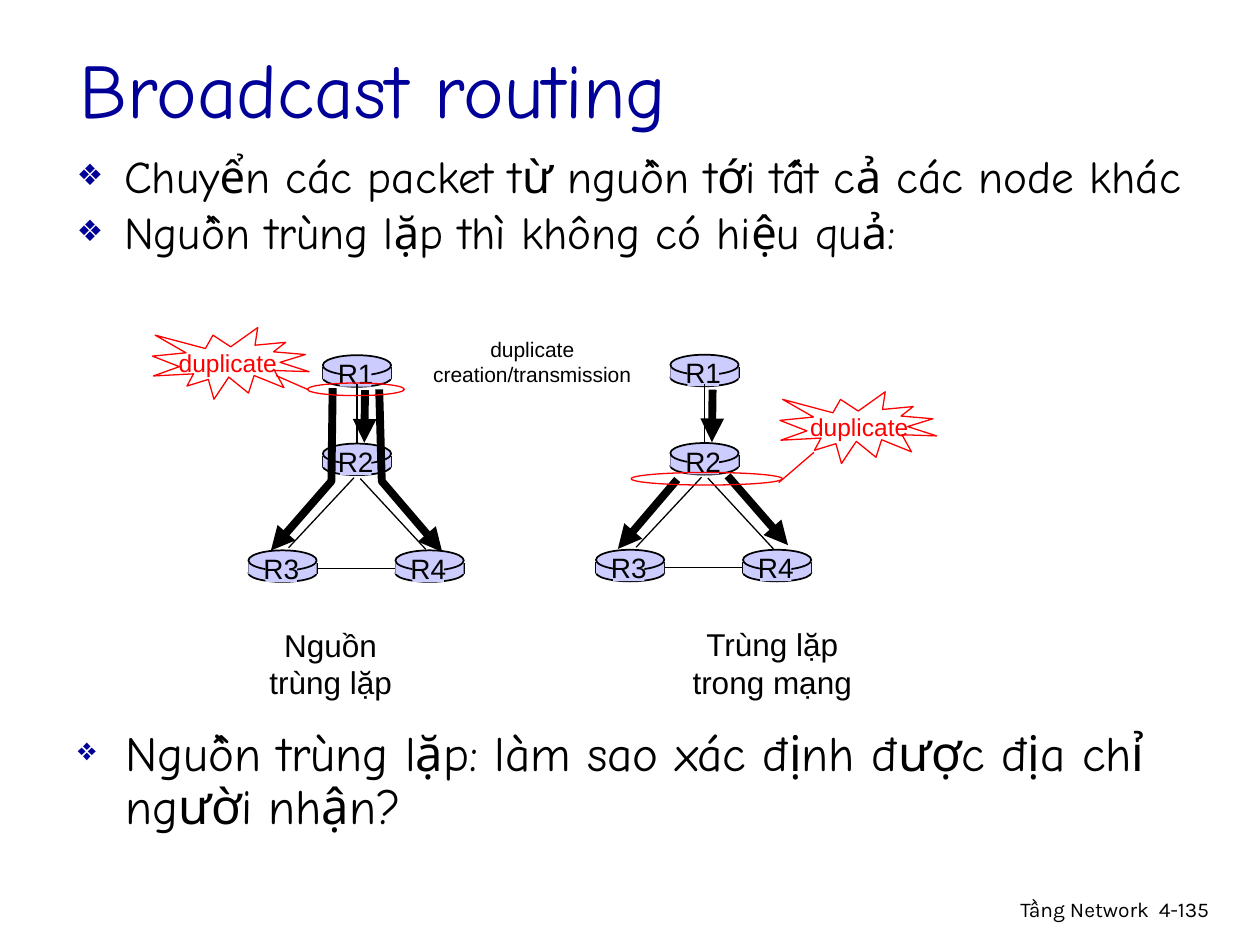
from lxml import etree
from pptx import Presentation
from pptx.dml.color import RGBColor
from pptx.enum import shapes, text
from pptx.oxml import ns
from pptx.util import Pt

NAVY = RGBColor(0, 0, 0x99)
BLACK = RGBColor(0, 0, 0)
RED = RGBColor(0xFF, 0, 0)
LILAC = RGBColor(0xCC, 0xCC, 0xFF)
SHAPE = shapes.MSO_SHAPE
ALIGN = text.PP_ALIGN

ROUTERS = [("R1", 42.5, 0), ("R2", 42.5, 50.5), ("R3", 0, 111.5), ("R4", 84, 111.5)]
LINKS = [
    [(62, 16.5), (62, 50.5)],
    [(60.3, 70), (22.9, 110)],
    [(63.9, 70.5), (101.4, 111)],
    [(39.5, 121.7), (84, 121.7)],
]
FIRST_HOP = [(66.6, 20), (66.2, 50)]
SOURCE_FLOWS = [
    FIRST_HOP,
    [(74.7, 19.5), (76.2, 72), (110.7, 112.4)],
    [(48.1, 18.8), (47.4, 72), (12.8, 111.6)],
]
NETWORK_FLOWS = [
    FIRST_HOP,
    [(75.2, 69.2), (109.7, 108.8)],
    [(46.4, 71.3), (12.5, 111)],
]


def place(item, left, top, width, height):
    item.left, item.top, item.width, item.height = map(Pt, (left, top, width, height))


def add_xml(parent, tag, **attributes):
    return etree.SubElement(parent, ns.qn(tag), attributes)


def write(frame, lines, font="Arial", size=12, color=BLACK, align=ALIGN.LEFT,
          wrap=True, bullet=False, spacing=None, anchor=text.MSO_ANCHOR.TOP):
    frame.word_wrap = wrap
    frame.auto_size = text.MSO_AUTO_SIZE.NONE
    frame.vertical_anchor = anchor
    for index, line in enumerate(lines):
        para = frame.paragraphs[0] if index == 0 else frame.add_paragraph()
        if bullet:
            add_bullet(para)
            para.space_before = Pt(7 if index else 0)
        para.alignment = align
        if spacing:
            para.line_spacing = spacing
        span = para.add_run()
        span.text = line
        span.font.name = font
        span.font.size = Pt(size)
        span.font.color.rgb = color


def add_bullet(para):
    properties = para._p.get_or_add_pPr()
    properties.set("marL", str(Pt(27)))
    properties.set("indent", str(Pt(-27)))
    add_xml(add_xml(properties, "a:buClr"), "a:srgbClr", val=str(NAVY))
    add_xml(properties, "a:buSzPct", val="65000")
    add_xml(properties, "a:buChar", char="❖")


def add_text(page, lines, left, top, width, height, **style):
    box = page.shapes.add_textbox(Pt(left), Pt(top), Pt(width), Pt(height))
    write(box.text_frame, lines, **style)


def add_shape(page, kind, left, top, width, height, fill=None, line=None, weight=1):
    shape = page.shapes.add_shape(kind, Pt(left), Pt(top), Pt(width), Pt(height))
    shape.shadow.inherit = False
    if fill is None:
        shape.fill.background()
    else:
        shape.fill.solid()
        shape.fill.fore_color.rgb = fill
    if line is None:
        shape.line.fill.background()
    else:
        shape.line.color.rgb = line
        shape.line.width = Pt(weight)


def add_route(page, points, left=0, top=0, color=BLACK, weight=0.75, arrow=False):
    points = [(Pt(left + x), Pt(top + y)) for x, y in points]
    if len(points) == 2:
        route = page.shapes.add_connector(shapes.MSO_CONNECTOR.STRAIGHT, *points[0], *points[1])
        add_xml(route._element.spPr, "a:effectLst")
    else:
        builder = page.shapes.build_freeform(*points[0])
        builder.add_line_segments(points[1:], close=False)
        route = builder.convert_to_shape()
        route.shadow.inherit = False
        route.fill.background()
    route.line.color.rgb = color
    route.line.width = Pt(weight)
    if arrow:
        add_xml(route.line._get_or_add_ln(), "a:tailEnd", type="triangle")


def add_router(page, name, left, top):
    add_shape(page, SHAPE.OVAL, left, top + 8, 39, 10, LILAC, BLACK)
    for side in (0, 39):
        add_route(page, [(side, 7), (side, 13.5)], left, top, weight=1)
    add_shape(page, SHAPE.RECTANGLE, left, top + 7, 39, 6.5, LILAC)
    add_shape(page, SHAPE.OVAL, left, top, 39, 11.5, LILAC, BLACK)
    add_shape(page, SHAPE.RECTANGLE, left + 9.7, top + 1.5, 18, 16.5, LILAC)
    add_text(page, [name], left + 1.4, top - 2.9, 34.6, 26.6,
             size=16, align=ALIGN.CENTER, wrap=False)


def add_network(page, left, top, flows, caption, caption_left, caption_width):
    for name, x, y in ROUTERS:
        add_router(page, name, left + x, top + y)
    for link in LINKS:
        add_route(page, link, left, top)
    for flow in flows:
        add_route(page, flow, left, top, weight=4.5, arrow=True)
    add_text(page, caption, left + caption_left, top + 151, caption_width, 50,
             size=18, align=ALIGN.CENTER, wrap=False)


def add_duplicate(page, left, top, label_left, ring, pointer):
    add_shape(page, SHAPE.EXPLOSION1, left, top, 89.5, 41, line=RED, weight=0.75)
    add_text(page, ["duplicate"], left + label_left, top + 8, 70.5, 24.5,
             size=14, color=RED, wrap=False)
    add_shape(page, SHAPE.OVAL, *ring, line=RED, weight=0.75)
    add_route(page, pointer, color=RED)


def add_heading(page):
    title, body = page.shapes.title, page.placeholders[1]
    place(title, 38.2, 13.7, 612, 72.7)
    write(title.text_frame, ["Broadcast routing"], font="Comic Neue", size=44,
          color=NAVY, anchor=text.MSO_ANCHOR.MIDDLE)
    place(body, 36.7, 87.1, 675.4, 76.3)
    write(body.text_frame, [
        "Chuyển các packet từ nguồn tới tất cả các node khác",
        "Nguồn trùng lặp thì không có hiệu quả:",
    ], font="Comic Neue", size=25.9, bullet=True, spacing=0.8)


def add_footer(page, top):
    add_text(page, ["Tầng Network"], 435.6, top, 228.2, 22, font="Karla", align=ALIGN.RIGHT)
    add_text(page, ["4-135"], 655.2, top, 53.3, 22, font="Karla")


def main():
    deck = Presentation()
    deck.slide_width, deck.slide_height = Pt(720), Pt(540)
    page = deck.slides.add_slide(deck.slide_layouts[1])
    add_heading(page)
    add_network(page, 142, 203, SOURCE_FLOWS, ["Nguồn", "trùng lặp"], 4.9, 84.2)
    add_network(page, 340.6, 202.7, NETWORK_FLOWS, ["Trùng lặp", "trong mạng"], 48.2, 105)
    add_text(page, ["duplicate", "creation/transmission"], 240.5, 188.6, 127.4, 36,
             align=ALIGN.CENTER, wrap=False)
    add_duplicate(page, 87.1, 187.2, 7.9, (175.7, 218.9, 55.4, 7.2),
                  [(175.7, 222.5), (157.7, 214.6)])
    add_duplicate(page, 445.7, 223.9, 10.1, (360.7, 270, 86.4, 7.2),
                  [(465.1, 258.5), (445, 275.8)])
    add_text(page, ["Nguồn trùng lặp: làm sao xác định được địa chỉ người nhận?"],
             37.4, 413.3, 639.4, 76.3, font="Comic Neue", size=28, bullet=True, spacing=0.9)
    add_footer(page, 509)
    deck.save("out.pptx")


if __name__ == "__main__":
    main()
